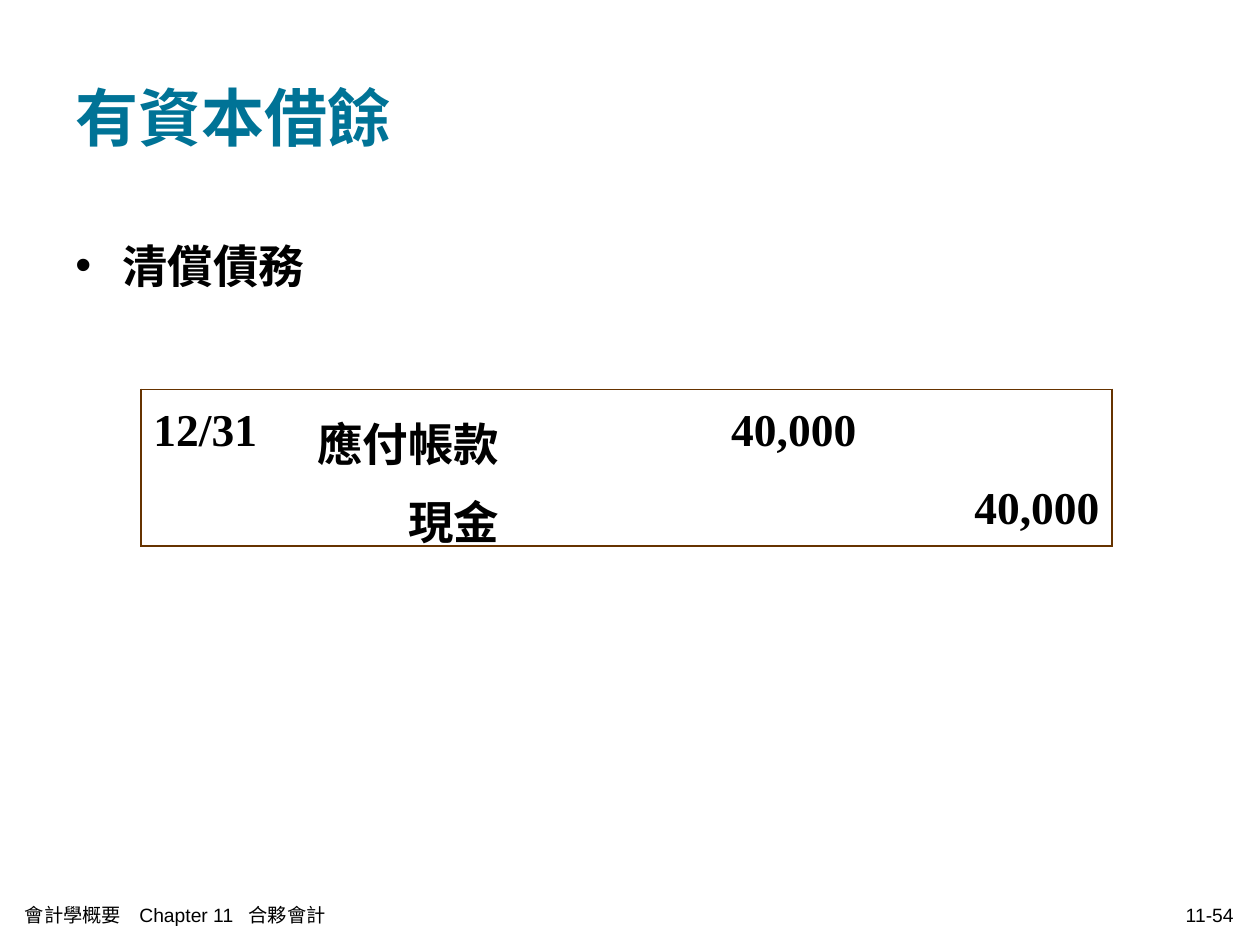
"""Build the slide on settling debts when a partner has a capital deficit."""
from lxml import etree
from pptx import Presentation
from pptx.dml.color import RGBColor
from pptx.enum.text import MSO_ANCHOR, PP_ALIGN
from pptx.oxml.ns import qn
from pptx.util import Cm, Pt

LEFT, RIGHT = PP_ALIGN.LEFT, PP_ALIGN.RIGHT
TOP, MIDDLE = MSO_ANCHOR.TOP, MSO_ANCHOR.MIDDLE
SERIF, SANS = "Times New Roman", "Arial"
BLACK, TEAL, BROWN = "000000", "007396", "663300"

TITLE = "有資本借餘"
BULLET = "清償債務"
FOOTER = "會計學概要\tChapter 11\t合夥會計"
FOOTER_TABS = [2.31, 4.51]
PAGE = "11-54"
ENTRIES = [
    ["12/31", "應付帳款", "40,000", ""],
    ["", "現金", "", "40,000"],
]
COLUMN_WIDTHS = [3.3, 5.84, 5.54, 4.9]
COLUMN_ALIGNMENTS = [LEFT, LEFT, RIGHT, RIGHT]
ROW_HEIGHT = 1.57
CREDIT_INDENT = Pt(52)


def color(value):
    return RGBColor.from_string(value)


def write(paragraph, text, size, font=SERIF, fill=BLACK, bold=True, align=LEFT):
    paragraph.alignment = align
    run = paragraph.add_run()
    run.text = text
    run.font.name, run.font.size, run.font.bold = font, Pt(size), bold
    run.font.color.rgb = color(fill)


def add_text_box(slide, left, top, width, height, anchor=MIDDLE):
    frame = slide.shapes.add_textbox(Cm(left), Cm(top), Cm(width), Cm(height)).text_frame
    frame.word_wrap = True
    frame.vertical_anchor = anchor
    return frame.paragraphs[0]


def add_bullet(paragraph, indent):
    properties = paragraph._p.get_or_add_pPr()
    properties.set("marL", str(indent))
    properties.set("indent", str(-indent))
    etree.SubElement(properties, qn("a:buFont"), typeface=SANS)
    etree.SubElement(properties, qn("a:buChar"), char="•")


def add_tabs(paragraph, stops):
    tab_list = etree.SubElement(paragraph._p.get_or_add_pPr(), qn("a:tabLst"))
    for stop in stops:
        etree.SubElement(tab_list, qn("a:tab"), pos=str(Cm(stop)), algn="l")


def set_borders(cell, visible_sides):
    properties = cell._tc.get_or_add_tcPr()
    for side in "LRTB":
        line = etree.SubElement(properties, qn(f"a:ln{side}"), w=str(Pt(1.08)))
        if side in visible_sides:
            fill = etree.SubElement(line, qn("a:solidFill"))
            etree.SubElement(fill, qn("a:srgbClr"), val=BROWN)
        else:
            etree.SubElement(line, qn("a:noFill"))


def add_journal(slide, left, top):
    last_row, last_column = len(ENTRIES) - 1, len(COLUMN_WIDTHS) - 1
    table = slide.shapes.add_table(
        len(ENTRIES), len(COLUMN_WIDTHS), Cm(left), Cm(top),
        Cm(sum(COLUMN_WIDTHS)), Cm(ROW_HEIGHT * len(ENTRIES)),
    ).table
    table.first_row = table.horz_banding = False
    for column, width in zip(table.columns, COLUMN_WIDTHS):
        column.width = Cm(width)
    for row_index, entry in enumerate(ENTRIES):
        for column_index, text in enumerate(entry):
            cell = table.cell(row_index, column_index)
            outer = {"L": column_index == 0, "R": column_index == last_column,
                     "T": row_index == 0, "B": row_index == last_row}
            set_borders(cell, [side for side, shown in outer.items() if shown])
            cell.fill.background()
            if text:
                paragraph = cell.text_frame.paragraphs[0]
                paragraph.line_spacing = 1.2
                write(paragraph, text, 26, align=COLUMN_ALIGNMENTS[column_index])
    credit_account = table.cell(last_row, 1).text_frame.paragraphs[0]
    credit_account._p.get_or_add_pPr().set("marL", str(CREDIT_INDENT))


def main():
    presentation = Presentation()
    presentation.slide_width, presentation.slide_height = Cm(25.4), Cm(19.05)
    slide = presentation.slides.add_slide(presentation.slide_layouts[6])

    write(add_text_box(slide, 1.27, 0.76, 22.86, 3.18), TITLE, 36, fill=TEAL)

    bullet = add_text_box(slide, 1.27, 4.45, 22.86, 12.57, TOP)
    bullet.line_spacing = 1.2
    add_bullet(bullet, Cm(0.95))
    write(bullet, BULLET, 26)

    add_journal(slide, 2.84, 7.85)

    footer = add_text_box(slide, 0.25, 18.03, 12.95, 0.84)
    add_tabs(footer, FOOTER_TABS)
    write(footer, FOOTER, 11, SANS, bold=False)
    page = add_text_box(slide, 17.2, 18.03, 7.92, 0.84)
    write(page, PAGE, 11, SANS, bold=False, align=RIGHT)

    presentation.save("out.pptx")


if __name__ == "__main__":
    main()
